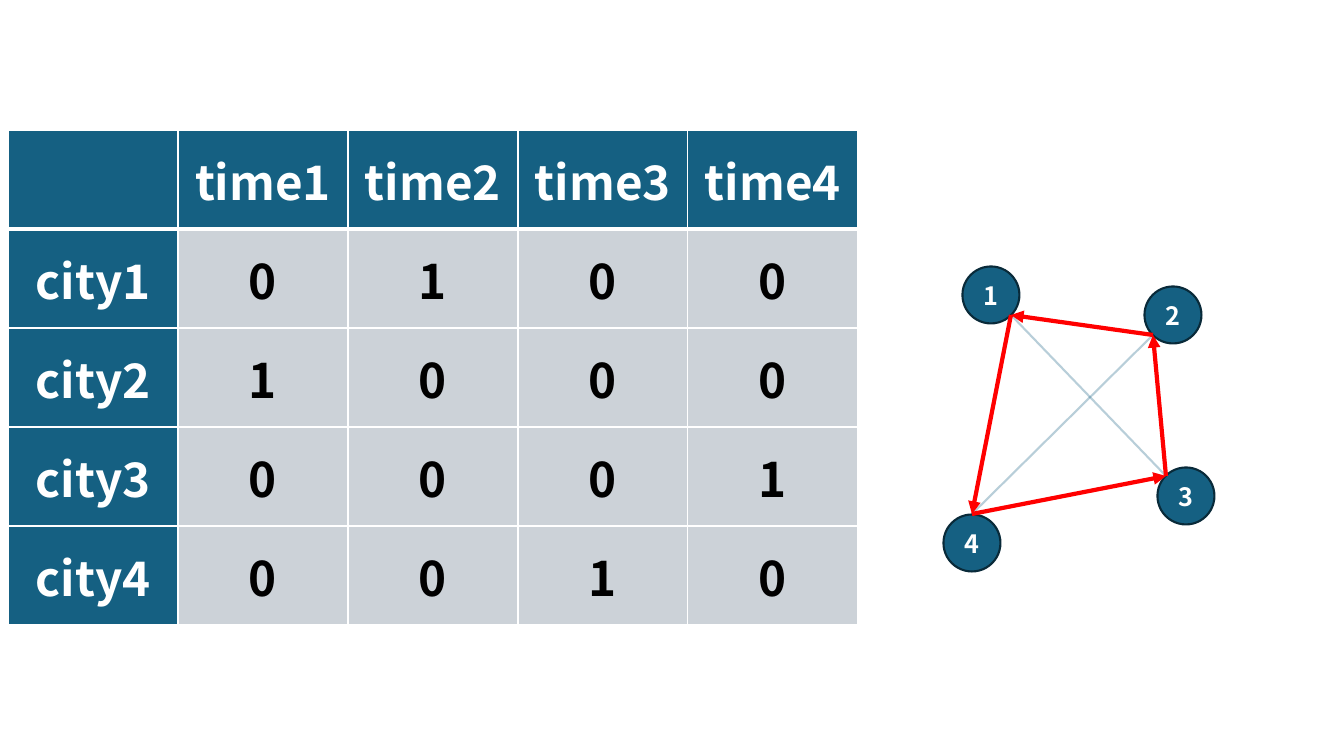
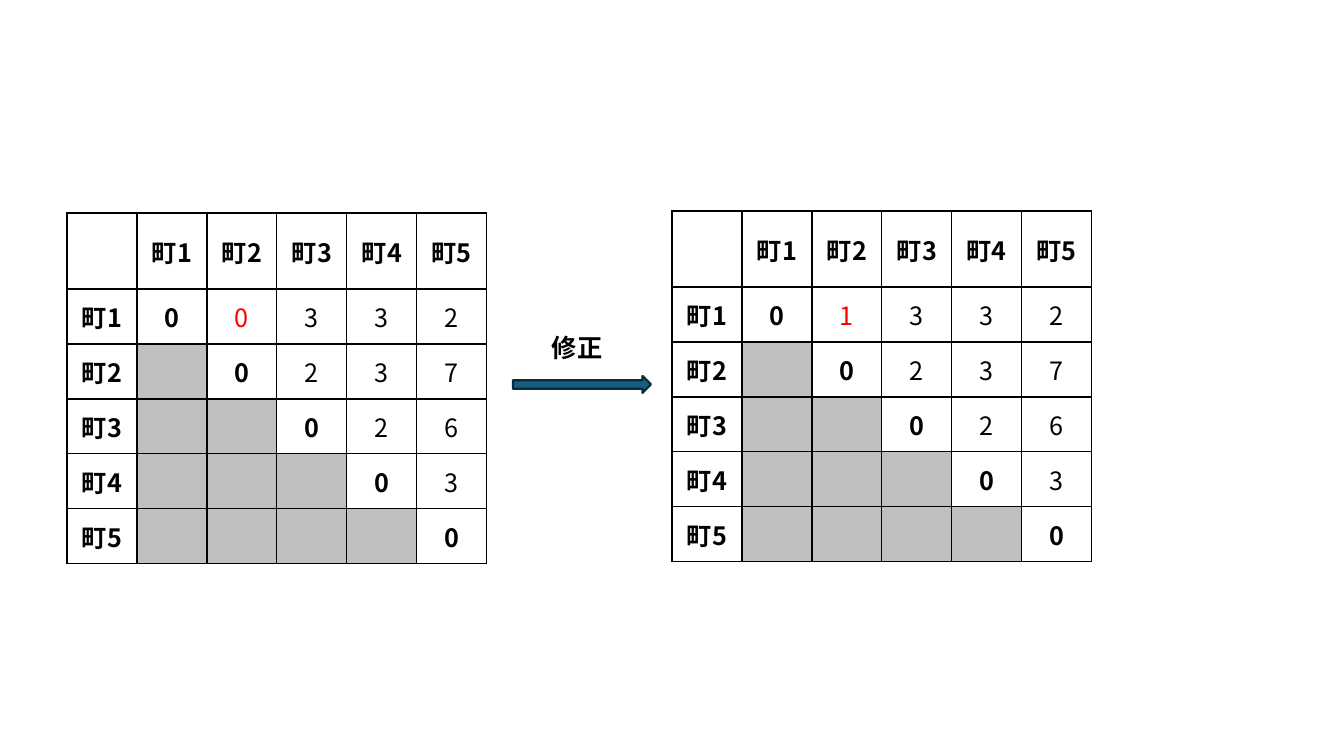
"""Build two slides: a city visiting order and a corrected distance table."""
from pptx import Presentation
from pptx.dml.color import RGBColor
from pptx.enum.shapes import MSO_CONNECTOR, MSO_SHAPE
from pptx.enum.text import MSO_ANCHOR, PP_ALIGN
from pptx.oxml.xmlchemy import OxmlElement
from pptx.util import Emu, Pt

PX = 914400 / 100.8
FONT = "Noto Sans CJK SC"
WHITE = RGBColor(0xFF, 0xFF, 0xFF)
BLACK = RGBColor(0x00, 0x00, 0x00)
RED = RGBColor(0xFF, 0x00, 0x00)
TEAL = RGBColor(0x15, 0x60, 0x82)
DARK_TEAL = RGBColor(0x09, 0x2A, 0x39)
PALE_GRAY = RGBColor(0xCC, 0xD2, 0xD8)
GRAY = RGBColor(0xBF, 0xBF, 0xBF)


def write_text(text_frame, text, size=18, color=BLACK, bold=True, align=PP_ALIGN.CENTER):
    paragraph = text_frame.paragraphs[0]
    paragraph.alignment = align
    run = paragraph.add_run()
    run.text = text
    run.font.size = Pt(size)
    run.font.bold = bold
    run.font.color.rgb = color
    run.font.name = FONT
    east_asian = OxmlElement("a:ea")
    east_asian.set("typeface", FONT)
    run.font._element.append(east_asian)


def add_grid(slide, left, top, column_width, row_heights, rows, border, size, header_rule=1):
    frame = slide.shapes.add_table(
        len(rows), len(rows[0]), Emu(round(left * PX)), Emu(round(top * PX)),
        Emu(round(column_width * len(rows[0]) * PX)), Emu(round(sum(row_heights) * PX)))
    table = frame.table
    for column in table.columns:
        column.width = Emu(round(column_width * PX))
    for row_index, cells in enumerate(rows):
        table.rows[row_index].height = Emu(round(row_heights[row_index] * PX))
        for column_index, (text, fill, color, bold) in enumerate(cells):
            cell = table.cell(row_index, column_index)
            cell.vertical_anchor = MSO_ANCHOR.MIDDLE
            cell.margin_left = cell.margin_right = Emu(round(8 * PX))
            cell.margin_top = cell.margin_bottom = Emu(round(4 * PX))
            properties = cell._tc.get_or_add_tcPr()
            for side in ("L", "R", "T", "B"):
                under_header = (row_index, side) in ((0, "B"), (1, "T"))
                edge = OxmlElement(f"a:ln{side}")
                edge.set("w", str(Pt(header_rule if under_header else 1)))
                edge_fill = OxmlElement("a:solidFill")
                edge_color = OxmlElement("a:srgbClr")
                edge_color.set("val", str(border))
                edge_fill.append(edge_color)
                edge.append(edge_fill)
                properties.append(edge)
            cell.fill.solid()
            cell.fill.fore_color.rgb = fill
            if text:
                write_text(cell.text_frame, text, size=size, color=color, bold=bold)


presentation = Presentation()
presentation.slide_width = Emu(round(1344 * PX))
presentation.slide_height = Emu(round(756 * PX))
blank_layout = presentation.slide_layouts[6]
filled_shapes = []

tour_slide = presentation.slides.add_slide(blank_layout)
time_of_city = {1: 2, 2: 1, 3: 4, 4: 3}
tour_rows = [[("", TEAL, WHITE, True)] + [(f"time{time}", TEAL, WHITE, True) for time in range(1, 5)]]
for city, visit_time in time_of_city.items():
    flags = [("1" if time == visit_time else "0", PALE_GRAY, BLACK, True) for time in range(1, 5)]
    tour_rows.append([(f"city{city}", TEAL, WHITE, True)] + flags)
add_grid(tour_slide, 8, 130, 170, [99] * 5, tour_rows, WHITE, 34, header_rule=3)

graph = tour_slide.shapes.add_group_shape()
diameter = 57
centers = {1: (991, 295), 4: (972, 543), 2: (1173, 315), 3: (1186, 496)}
anchor_offsets = {1: (20, 20), 4: (0, -29), 2: (-20, 20), 3: (-20, -20)}
anchors = {}
for city, (x, y) in centers.items():
    node = graph.shapes.add_shape(
        MSO_SHAPE.OVAL, Emu(round((x - diameter / 2) * PX)), Emu(round((y - diameter / 2) * PX)),
        Emu(round(diameter * PX)), Emu(round(diameter * PX)))
    node.text_frame.vertical_anchor = MSO_ANCHOR.MIDDLE
    write_text(node.text_frame, str(city), color=WHITE)
    filled_shapes.append(node)
    offset_x, offset_y = anchor_offsets[city]
    anchors[city] = (x + offset_x, y + offset_y)

unused_edges = [(1, 3), (2, 4)]
tour_edges = [(2, 1), (1, 4), (4, 3), (3, 2)]
for start, end in unused_edges + tour_edges:
    on_tour = (start, end) in tour_edges
    points = [Emu(round(length * PX)) for length in anchors[start] + anchors[end]]
    connector = graph.shapes.add_connector(MSO_CONNECTOR.STRAIGHT, *points)
    connector.line.width = Pt(3 if on_tour else 1.5)
    connector.line.color.rgb = RED if on_tour else TEAL
    connector._element.spPr.append(OxmlElement("a:effectLst"))
    if on_tour:
        arrowhead = OxmlElement("a:tailEnd")
        arrowhead.set("type", "triangle")
        connector._element.xpath("./p:spPr/a:ln")[0].append(arrowhead)
    else:
        alpha = OxmlElement("a:alpha")
        alpha.set("val", "30000")
        connector._element.xpath("./p:spPr/a:ln/a:solidFill/a:srgbClr")[0].append(alpha)

distance_slide = presentation.slides.add_slide(blank_layout)
towns = [f"町{number}" for number in range(1, 6)]
for left, top, first_distance in ((67, 213, "0"), (672, 211, "1")):
    distances = [["0", first_distance, "3", "3", "2"], ["0", "2", "3", "7"], ["0", "2", "6"], ["0", "3"], ["0"]]
    distance_rows = [[(text, WHITE, BLACK, True) for text in [""] + towns]]
    for index, (town, values) in enumerate(zip(towns, distances)):
        cells = [(town, WHITE, BLACK, True)] + [("", GRAY, BLACK, False)] * index
        for step, value in enumerate(values):
            corrected = (index, step) == (0, 1)
            cells.append((value, WHITE, RED if corrected else BLACK, step == 0))
        distance_rows.append(cells)
    add_grid(distance_slide, left, top, 70, [76] + [55] * 5, distance_rows, BLACK, 18)

label = distance_slide.shapes.add_textbox(
    Emu(round(542 * PX)), Emu(round(327 * PX)), Emu(round(72 * PX)), Emu(round(40 * PX)))
write_text(label.text_frame, "修正", align=PP_ALIGN.LEFT)

arrow = distance_slide.shapes.add_shape(
    MSO_SHAPE.RIGHT_ARROW, Emu(round(513 * PX)), Emu(round(376 * PX)),
    Emu(round(138 * PX)), Emu(round(17 * PX)))
filled_shapes.append(arrow)

for shape in filled_shapes:
    shape.shadow.inherit = False
    shape.fill.solid()
    shape.fill.fore_color.rgb = TEAL
    shape.line.color.rgb = DARK_TEAL
    shape.line.width = Pt(1.5)

presentation.save("out.pptx")
